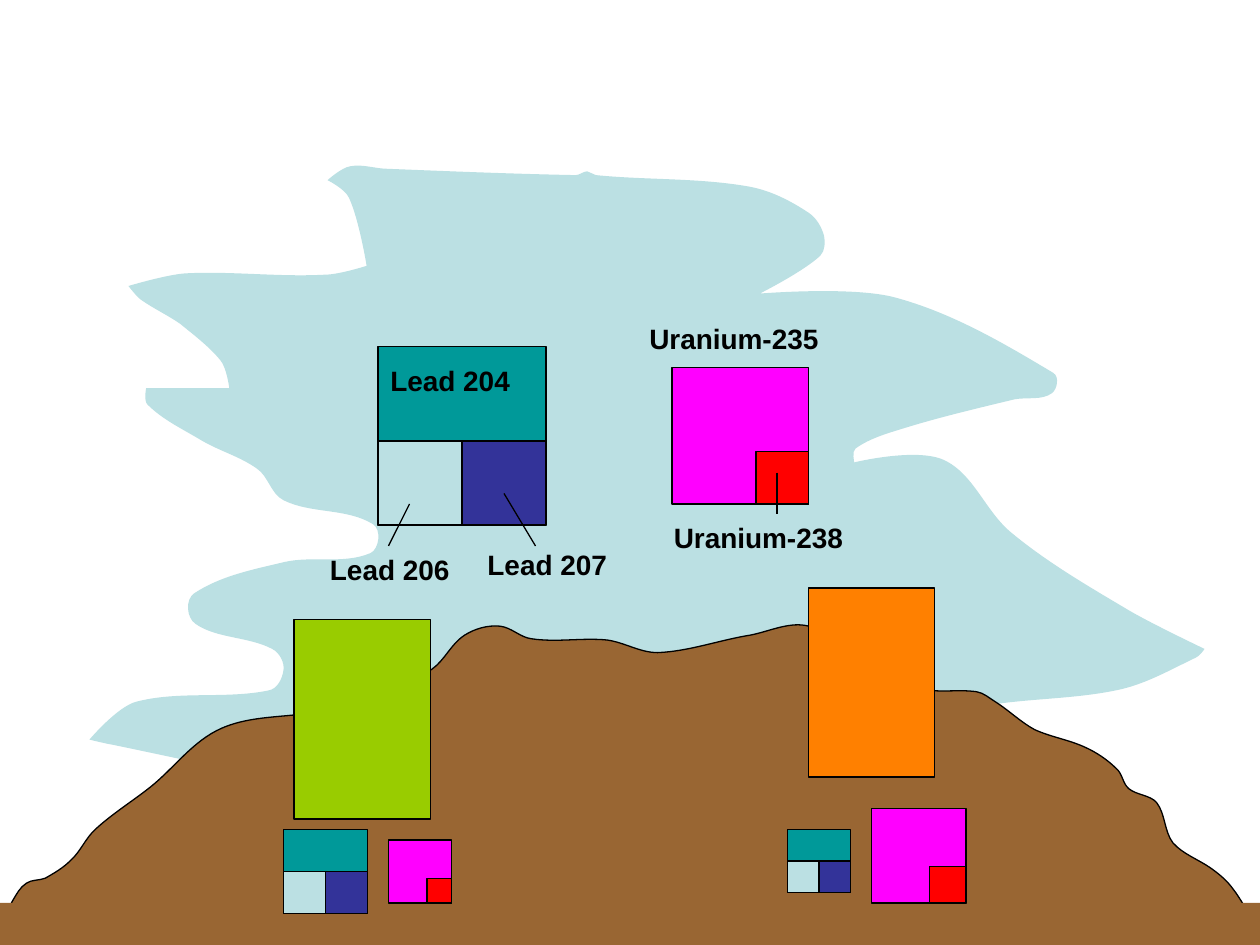
import math

from pptx import Presentation
from pptx.dml.color import RGBColor
from pptx.enum import shapes, text
from pptx.oxml.ns import qn
from pptx.oxml.xmlchemy import OxmlElement
from pptx.util import Pt

BLACK = RGBColor(0x00, 0x00, 0x00)
PALE = RGBColor(0xBB, 0xE0, 0xE3)
BROWN = RGBColor(0x99, 0x66, 0x33)
GREEN = RGBColor(0x99, 0xCC, 0x00)
ORANGE = RGBColor(0xFF, 0x80, 0x00)
TEAL = RGBColor(0x00, 0x99, 0x99)
NAVY = RGBColor(0x33, 0x33, 0x99)
MAGENTA = RGBColor(0xFF, 0x00, 0xFF)
RED = RGBColor(0xFF, 0x00, 0x00)

# Points on the outlines, in units of 0.72 pt
UNIT = Pt(0.72)
CLOUD = [
    (473, 139), (594, 148), (642, 169), (654, 187), (651, 203), (603, 233),
    (710, 236), (836, 296), (835, 312), (805, 317), (717, 340), (679, 356),
    (678, 367), (749, 365), (803, 423), (897, 485), (956, 515), (949, 522),
    (890, 547), (756, 566), (696, 607), (707, 668), (570, 698), (467, 705),
    (355, 698), (385, 665), (325, 629), (220, 617), (89, 591), (71, 587),
    (108, 557), (213, 548), (225, 532), (216, 515), (155, 495), (154, 471),
    (226, 446), (294, 439), (296, 416), (225, 397), (204, 372), (159, 349),
    (117, 321), (116, 308), (182, 308), (175, 286), (143, 257), (112, 238),
    (102, 227), (147, 217), (258, 218), (291, 211), (277, 157), (260, 143),
    (278, 132), (308, 134), (457, 139), (466, 136),
]
MOUNTAIN = [
    (0, 736), (10, 715), (21, 701), (36, 697), (56, 683), (76, 658), (119, 625),
    (176, 578), (257, 564), (304, 547), (343, 531), (369, 504), (397, 497),
    (422, 507), (482, 508), (522, 518), (596, 504), (642, 497), (711, 537),
    (732, 547), (775, 549), (790, 557), (821, 579), (861, 593), (886, 610),
    (896, 626), (918, 637), (931, 669), (961, 689), (979, 706), (997, 736),
    (717, 744), (522, 750), (353, 737),
]


def paint(sp, fill, outlined=True):
    sp.shadow.inherit = False
    sp.fill.solid()
    sp.fill.fore_color.rgb = fill
    if outlined:
        sp.line.color.rgb = BLACK
        sp.line.width = Pt(0.75)
    else:
        sp.line.fill.background()


def add_rect(x, y, w, h, fill, outlined=True):
    sp = s.shapes.add_shape(shapes.MSO_SHAPE.RECTANGLE, Pt(x), Pt(y), Pt(w), Pt(h))
    paint(sp, fill, outlined)


prs = Presentation()
prs.slide_width, prs.slide_height = Pt(720), Pt(540)
s = prs.slides.add_slide(prs.slide_layouts[6])

# Cloud and mountain: smooth curves through the points, with sharp turns kept as corners
for points, fill, outlined in [(CLOUD, PALE, False), (MOUNTAIN, BROWN, True)]:
    tangents = []
    for i, (x, y) in enumerate(points):
        before, after = points[i - 1], points[(i + 1) % len(points)]
        turn = (x - before[0]) * (after[0] - x) + (y - before[1]) * (after[1] - y)
        reach = math.dist(before, after)
        tangents.append(((after[0] - before[0]) / reach, (after[1] - before[1]) / reach)
                        if turn > 0 else (0, 0))
    vertices = []
    for i, (x, y) in enumerate(points):
        j = (i + 1) % len(points)
        end = points[j]
        handle = math.dist((x, y), end) / 3
        vertices += [
            (x + handle * tangents[i][0], y + handle * tangents[i][1]),
            (end[0] - handle * tangents[j][0], end[1] - handle * tangents[j][1]),
            end,
        ]
    builder = s.shapes.build_freeform(*points[0], scale=UNIT)
    builder.add_line_segments(vertices, close=True)
    sp = builder.convert_to_shape()
    segments = list(sp._element.iter(qn("a:lnTo")))
    for i in range(0, len(vertices), 3):
        curve = OxmlElement("a:cubicBezTo")
        segments[i].addprevious(curve)
        for segment in segments[i:i + 3]:
            curve.append(segment[0])
            segment.getparent().remove(segment)
    paint(sp, fill, outlined)

# Ground and the two rocks
add_rect(0, 516, 720, 24, BROWN, outlined=False)
add_rect(168, 354, 78, 114, GREEN)
add_rect(462, 336, 72, 108, ORANGE)

# Lead: 204 behind, 206 and 207 as squares along the bottom
for x, y, w, h in [(216, 198, 96, 102), (162, 474, 48, 48), (450, 474, 36, 36)]:
    half = w / 2
    add_rect(x, y, w, h, TEAL)
    add_rect(x, y + h - half, half, half, PALE)
    add_rect(x + half, y + h - half, half, half, NAVY)

# Uranium: 235 with 238 in the bottom right corner
for x, y, size, corner in [(384, 210, 78, 30), (498, 462, 54, 21), (222, 480, 36, 14)]:
    add_rect(x, y, size, size, MAGENTA)
    add_rect(x + size - corner, y + size - corner, corner, corner, RED)

labels = [
    ("Lead 204", 216, 204, 83),
    ("Uranium-235", 364, 180, 111),
    ("Lead 207", 271.5, 309.5, 83),
    ("Uranium-238", 378, 294, 111),
    ("Lead 206", 181.5, 312, 83),
]
label_font = {"name": "Arial", "size": Pt(16), "bold": True}
for label, x, y, w in labels:
    tf = s.shapes.add_textbox(Pt(x), Pt(y), Pt(w), Pt(26.5)).text_frame
    tf.word_wrap = False
    tf.auto_size = text.MSO_AUTO_SIZE.SHAPE_TO_FIT_TEXT
    r = tf.paragraphs[0].add_run()
    r.text = label
    for name, value in label_font.items():
        setattr(r.font, name, value)
    r.font.color.rgb = BLACK

# Leader lines from the labels
for ends in [(288, 282, 306, 312), (444, 270, 444, 294), (222, 312, 234, 288)]:
    line = s.shapes.add_connector(shapes.MSO_CONNECTOR.STRAIGHT, *map(Pt, ends))
    line.line.color.rgb = BLACK
    line.line.width = Pt(0.75)
    line._element.spPr.append(OxmlElement("a:effectLst"))

prs.save("out.pptx")
